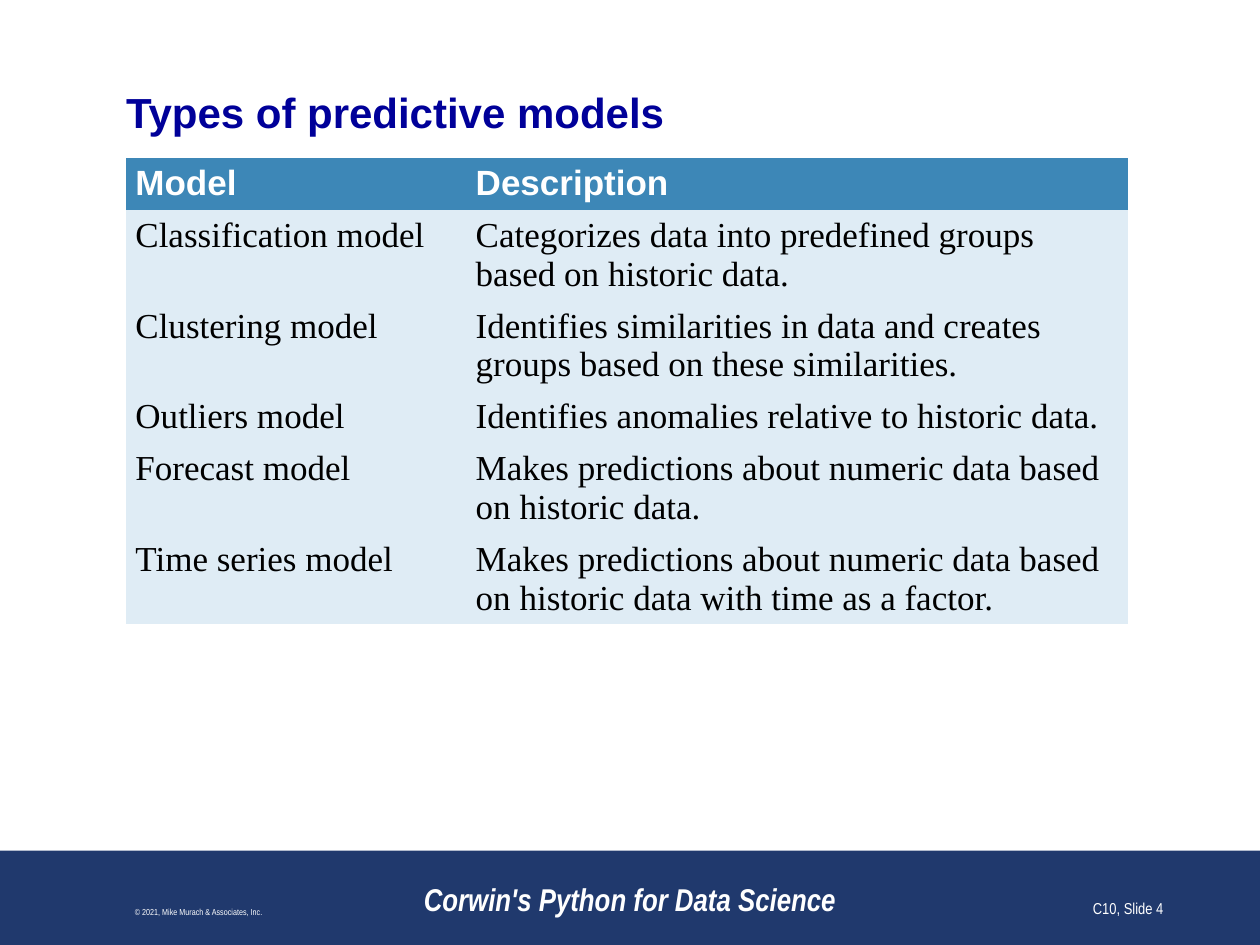
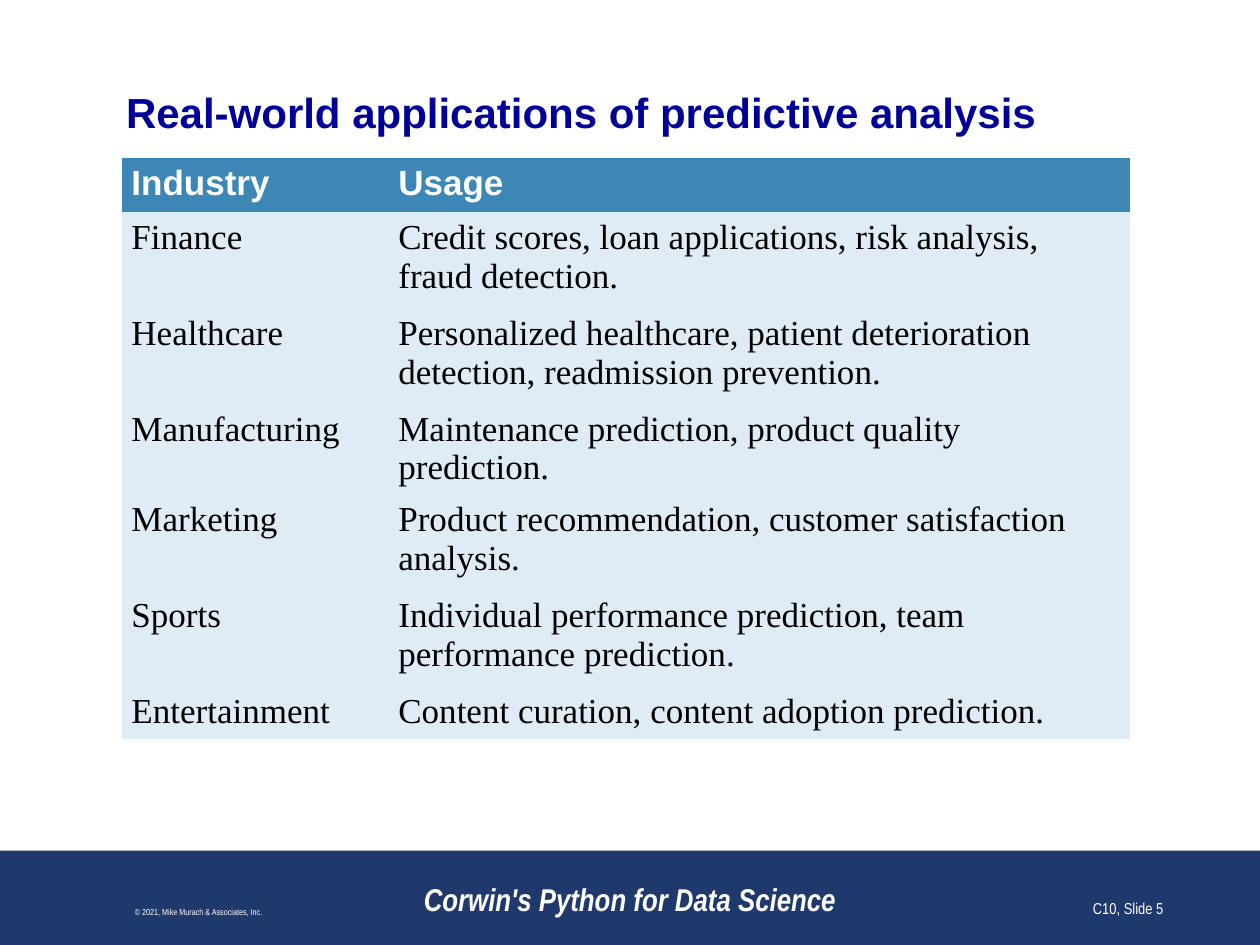
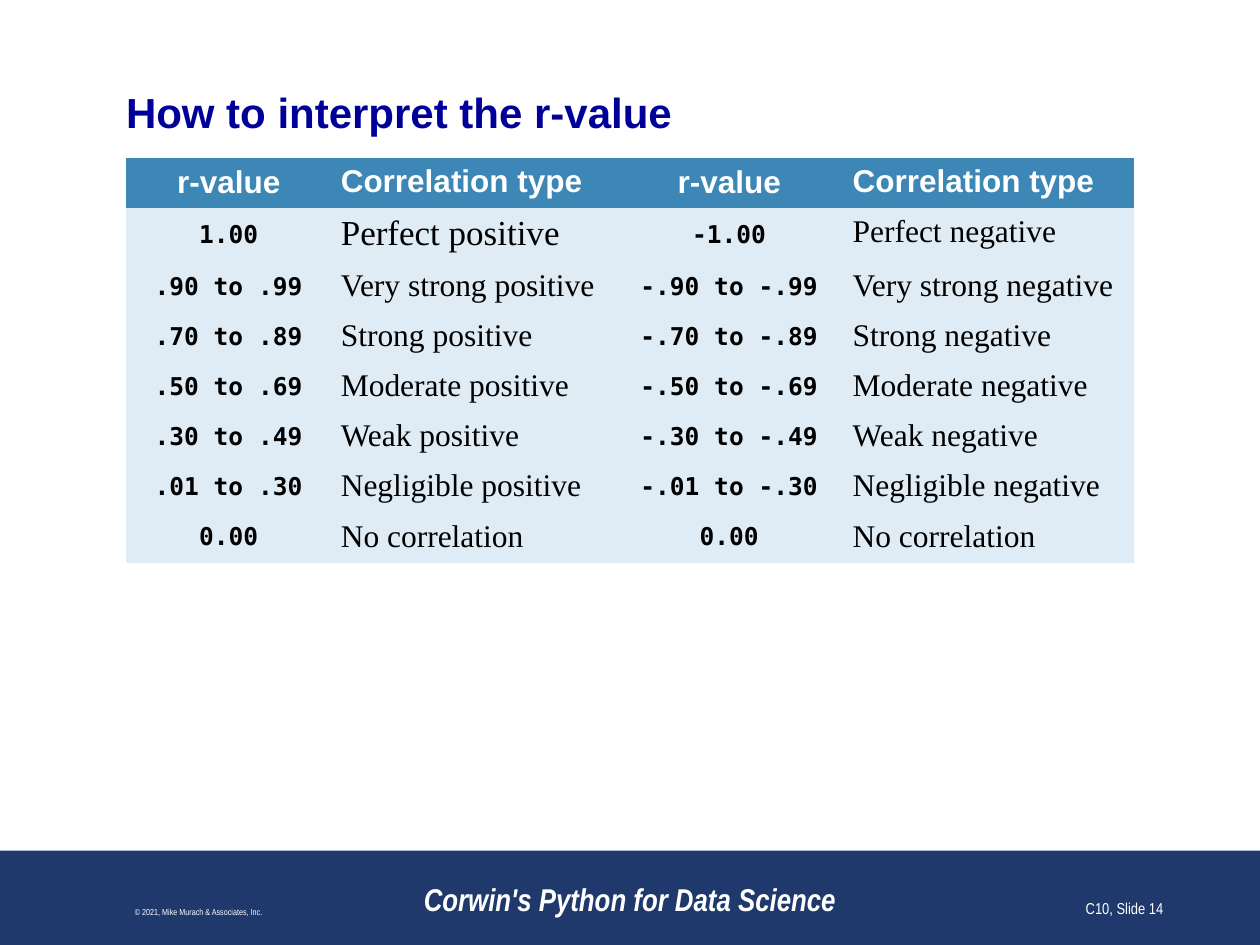
"""Build three slides on predictive models, their uses and the r-value."""

from dataclasses import dataclass, field

from pptx import Presentation
from pptx.dml.color import RGBColor
from pptx.enum.shapes import MSO_SHAPE as Shape
from pptx.enum.text import MSO_ANCHOR as Anchor, MSO_AUTO_SIZE as AutoSize, PP_ALIGN as Align
from pptx.oxml.ns import qn
from pptx.util import Cm, Pt

COLORS = {
    "band": "20396D",
    "title": "000099",
    "header": "3D87B7",
    "body": "DFECF5",
    "text": "000000",
    "white": "FFFFFF",
}
NO_GRID_STYLE = "{2D5ABB26-0587-4C30-8999-92F81FD0307C}"
TABLE_TOP = 3.18


@dataclass(frozen=True)
class TextStyle:
    font: str
    size: float
    color: str = "text"
    bold: bool = False
    italic: bool = False
    align: Align = Align.LEFT
    anchor: Anchor = Anchor.TOP


@dataclass(frozen=True)
class FooterPart:
    left: float
    width: float
    text: str
    style: TextStyle


@dataclass(frozen=True)
class TableSlide:
    title: str
    number: int
    left: float
    widths: list[float]
    heights: list[float]
    rows: list[list[str]]
    styles: list[TextStyle]
    header_size: int = 20
    special_styles: dict[str, TextStyle] = field(default_factory=dict)


TITLE = TextStyle("Arial", 24, "title", bold=True, anchor=Anchor.MIDDLE)
LARGE = TextStyle("Times New Roman", 20)
MEDIUM = TextStyle("Times New Roman", 18)
VALUE = TextStyle("DejaVu Sans Mono", 14, bold=True, align=Align.CENTER, anchor=Anchor.MIDDLE)


def footer_style(size: float, align: Align, strong: bool = False) -> TextStyle:
    return TextStyle("Arial Narrow", size, "white", strong, strong, align, Anchor.BOTTOM)


FOOTER = [
    FooterPart(7.62, 10.16, "Corwin's Python for Data Science",
               footer_style(18, Align.CENTER, strong=True)),
    FooterPart(0.2, 7.62, "© 2021, Mike Murach & Associates, Inc.",
               footer_style(5, Align.CENTER)),
    FooterPart(18.42, 5.28, "C10, Slide {number}", footer_style(9, Align.RIGHT)),
]

SLIDES = [
    TableSlide(
        "Types of predictive models", 4, 2.54, [6.86, 13.34],
        [1.02, 1.8, 1.8, 1.02, 1.8, 1.8],
        [
            ["Model", "Description"],
            ["Classification model",
             "Categorizes data into predefined groups based on historic data."],
            ["Clustering model",
             "Identifies similarities in data and creates groups based on these similarities."],
            ["Outliers model", "Identifies anomalies relative to historic data."],
            ["Forecast model", "Makes predictions about numeric data based on historic data."],
            ["Time series model",
             "Makes predictions about numeric data based on historic data with time as a factor."],
        ],
        [LARGE, LARGE],
    ),
    TableSlide(
        "Real-world applications of predictive analysis", 5, 2.46, [5.38, 14.94],
        [1.09, 1.93, 1.93, 1.8, 1.93, 1.93, 1.09],
        [
            ["Industry", "Usage"],
            ["Finance", "Credit scores, loan applications, risk analysis, fraud detection."],
            ["Healthcare",
             "Personalized healthcare, patient deterioration detection, readmission prevention."],
            ["Manufacturing", "Maintenance prediction, product quality prediction."],
            ["Marketing", "Product recommendation, customer satisfaction analysis."],
            ["Sports", "Individual performance prediction, team performance prediction."],
            ["Entertainment", "Content curation, content adoption prediction."],
        ],
        [LARGE, LARGE],
    ),
    TableSlide(
        "How to interpret the r-value", 14, 2.54, [4.14, 5.72, 4.6, 5.87],
        [1.01, 1.09] + [1.01] * 6,
        [
            ["r-value", "Correlation type"] * 2,
            ["1.00", "Perfect positive", "-1.00", "Perfect negative"],
            [".90 to .99", "Very strong positive", "-.90 to -.99", "Very strong negative"],
            [".70 to .89", "Strong positive", "-.70 to -.89", "Strong negative"],
            [".50 to .69", "Moderate positive", "-.50 to -.69", "Moderate negative"],
            [".30 to .49", "Weak positive", "-.30 to -.49", "Weak negative"],
            [".01 to .30", "Negligible positive", "-.01 to -.30", "Negligible negative"],
            ["0.00", "No correlation"] * 2,
        ],
        [VALUE, MEDIUM] * 2,
        header_size=18,
        special_styles={"Perfect positive": LARGE},
    ),
]


def rgb(name: str) -> RGBColor:
    return RGBColor.from_string(COLORS[name])


def write(frame, text: str, style: TextStyle) -> None:
    frame.text = text
    para = frame.paragraphs[0]
    para.alignment = style.align
    para.font.name = style.font
    para.font.size = Pt(style.size)
    para.font.bold = style.bold
    para.font.italic = style.italic
    para.font.color.rgb = rgb(style.color)


def add_band(page, layout) -> None:
    band = page.shapes.add_shape(Shape.RECTANGLE, Cm(0), Cm(17.15), Cm(25.4), Cm(1.9))
    band.shadow.inherit = False
    band.fill.solid()
    band.fill.fore_color.rgb = rgb("band")
    band.line.fill.background()
    layout.shapes.element.insert(2, band.element)


def add_title(page, text: str) -> None:
    title = page.shapes.title
    title.left, title.top, title.width, title.height = Cm(2.54), Cm(1.75), Cm(20.32), Cm(1.02)
    frame = title.text_frame
    frame.margin_left = frame.margin_right = frame.margin_top = frame.margin_bottom = Cm(0)
    frame.vertical_anchor = TITLE.anchor
    frame.auto_size = AutoSize.NONE
    write(frame, text, TITLE)


def add_footer(page, number: int) -> None:
    for part in FOOTER:
        box = page.shapes.add_textbox(Cm(part.left), Cm(17.35), Cm(part.width), Cm(1.27))
        box.text_frame.word_wrap = True
        box.text_frame.vertical_anchor = part.style.anchor
        write(box.text_frame, part.text.format(number=number), part.style)


def fill_cell(cell, text: str, style: TextStyle, fill: str) -> None:
    cell.margin_left = cell.margin_right = Cm(0.19)
    cell.margin_top = cell.margin_bottom = Cm(0.13)
    cell.vertical_anchor = style.anchor
    cell.fill.solid()
    cell.fill.fore_color.rgb = rgb(fill)
    write(cell.text_frame, text, style)


def add_model_table(page, content: TableSlide) -> None:
    holder = page.shapes.add_table(
        len(content.rows), len(content.widths), Cm(content.left), Cm(TABLE_TOP),
        Cm(sum(content.widths)), Cm(sum(content.heights)))
    table = holder.table
    table.horz_banding = False
    for style_id in holder.element.iter(qn("a:tableStyleId")):
        style_id.text = NO_GRID_STYLE
    for column, width in zip(table.columns, content.widths):
        column.width = Cm(width)
    for index, (row, height) in enumerate(zip(table.rows, content.heights)):
        row.height = Cm(height)
        for cell, text, style in zip(row.cells, content.rows[index], content.styles):
            if index == 0:
                header = TextStyle("Arial", content.header_size, "white", bold=True,
                                   align=style.align, anchor=style.anchor)
                fill_cell(cell, text, header, "header")
            else:
                fill_cell(cell, text, content.special_styles.get(text, style), "body")


def main() -> None:
    deck = Presentation()
    deck.slide_width, deck.slide_height = Cm(25.4), Cm(19.05)
    layout = deck.slide_layouts.get_by_name("Title Only")
    for content in SLIDES:
        page = deck.slides.add_slide(layout)
        add_title(page, content.title)
        add_model_table(page, content)
        add_footer(page, content.number)
    add_band(deck.slides[0], layout)
    deck.save("out.pptx")


if __name__ == "__main__":
    main()
